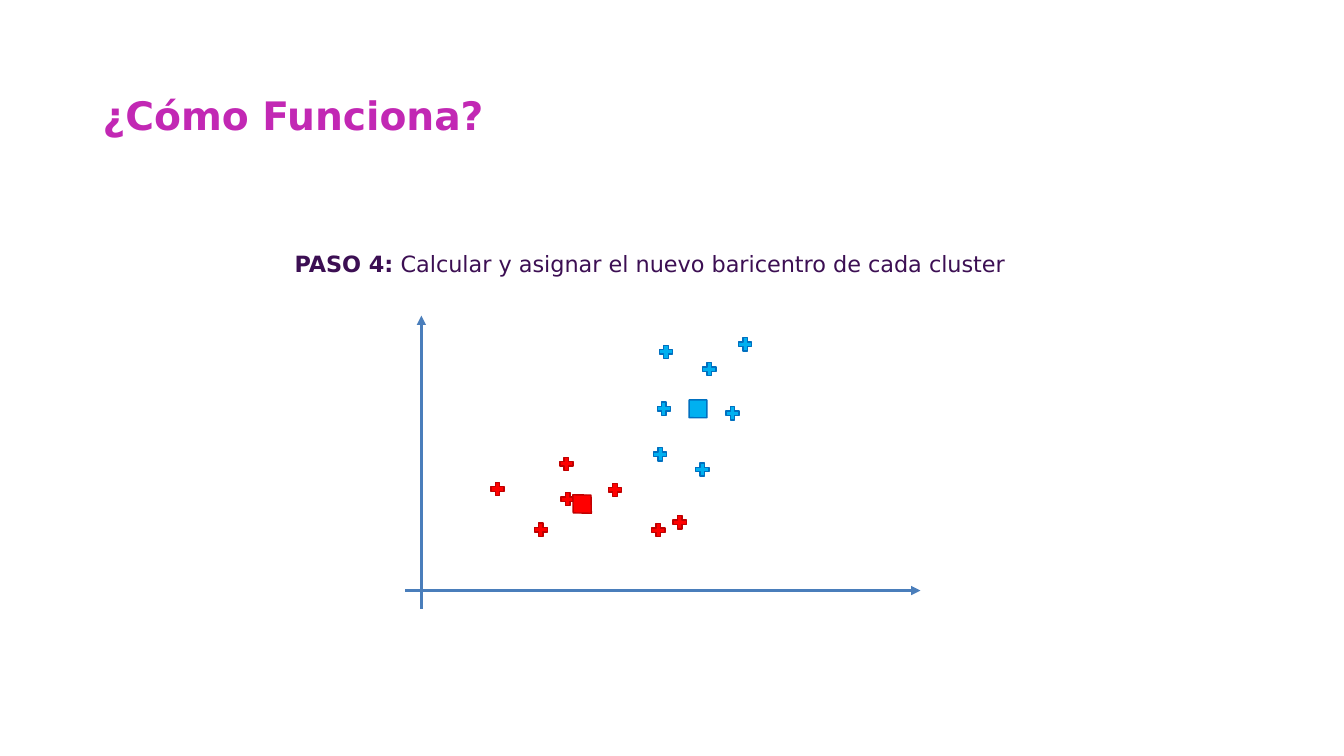
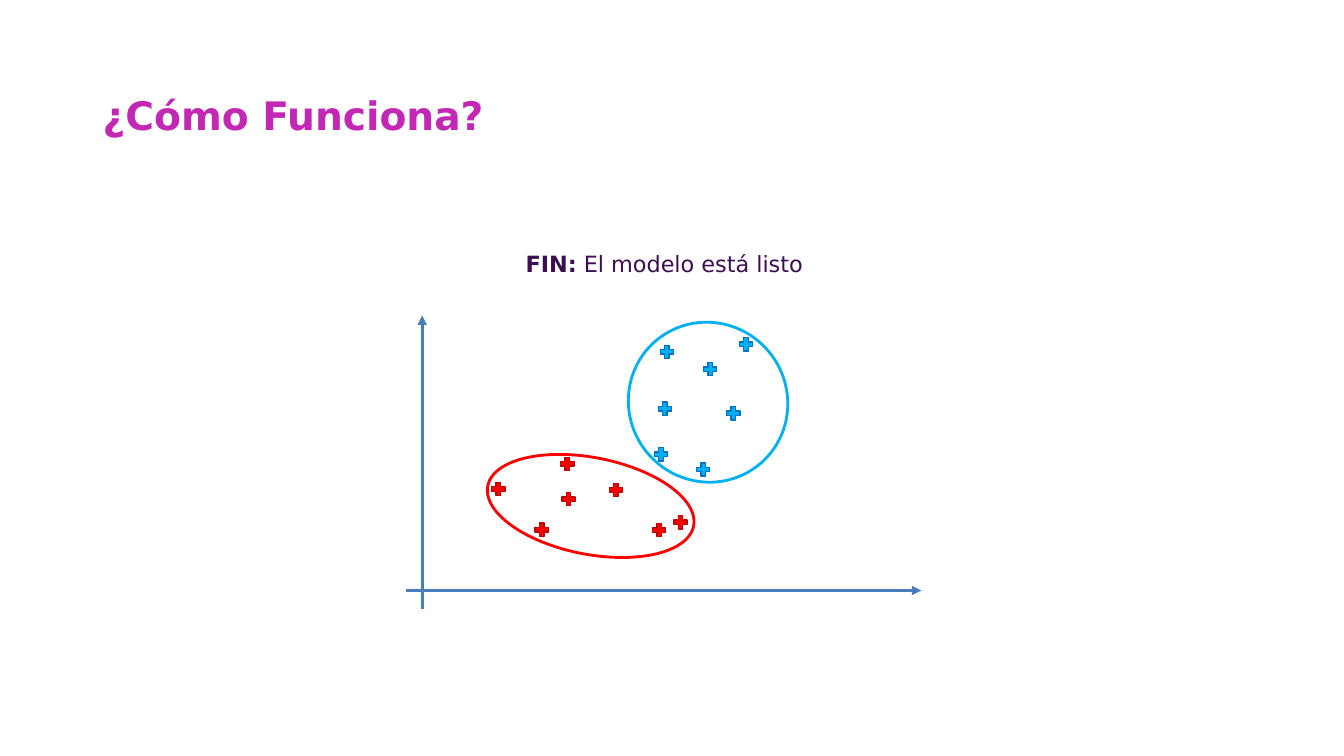
from lxml.etree import SubElement
from pptx import Presentation
from pptx.dml.color import RGBColor
from pptx.enum.shapes import MSO_CONNECTOR as Link, MSO_SHAPE as Kind
from pptx.enum.text import MSO_ANCHOR as Anchor, MSO_AUTO_SIZE as Fit, PP_ALIGN as Align
from pptx.oxml.ns import qn
from pptx.util import Pt

FONT = "DejaVu Sans"
TITLE = "¿Cómo Funciona?"
TITLE_BOX = (66.2, 51.1, 828, 65.5)
TITLE_FONT = {"name": FONT, "size": Pt(28), "bold": True}
STEP_FONT = {"name": FONT, "size": Pt(16)}
PINK, PLUM, AXIS = "C228B4", "3C0F53", "4A7EBB"
RED, BLUE = ("FF0000", "C00000"), ("00B0F0", "0070C0")  # fill, line
CROSS = 9.4

AXES = [((301, 435), (301, 225.4)), ((289.4, 421.8), (657.5, 421.8))]
POINTS = [
    (BLUE, [(523.2, 295.2), (471.6, 324.5), (501.7, 335.4), (474.3, 292),
            (532.3, 245.9), (475.8, 251.3), (506.7, 263.7)]),
    (RED, [(386.4, 378.4), (485.5, 373.1), (405.5, 356.6), (470.2, 378.7),
           (355.4, 349.3), (404.6, 331.4), (439.3, 350)]),
]
# Marks: kind, centre, size, turn, fill, line, line width
SLIDES = [
    {"step": ("PASO 4:", " Calcular y asignar el nuevo baricentro de cada cluster"),
     "box": (104.4, 175, 720, 26.6), "shift": 0,
     "marks": [(Kind.DIAMOND, (415.8, 360), (18, 18.7), 315, *RED, 1),
               (Kind.DIAMOND, (498.6, 292), (18, 18), 315, *BLUE, 1)]},
    {"step": ("FIN:", " El modelo está listo"),
     "box": (261.4, 175, 426.2, 26.6), "shift": 0.6,
     "marks": [(Kind.OVAL, (505.8, 287.3), (113, 115.2), 320, None, BLUE[0], 2),
               (Kind.OVAL, (421.9, 361.4), (69.1, 149.8), 101, None, RED[0], 2)]},
]


def color(code):
    return RGBColor.from_string(code)


def style(font, code, form):
    for name, value in form.items():
        setattr(font, name, value)
    font.color.rgb = color(code)


def set_line(line, code, width):
    line.color.rgb = color(code)
    line.width = Pt(width)


def add_title(slide):
    title = slide.shapes.title
    for name, value in zip(("left", "top", "width", "height"), TITLE_BOX):
        setattr(title, name, Pt(value))
    frame = title.text_frame
    frame.text = TITLE
    frame.auto_size = Fit.NONE
    frame.vertical_anchor = Anchor.MIDDLE
    para = frame.paragraphs[0]
    para.alignment = Align.LEFT
    para.line_spacing = 0.9
    style(para.runs[0].font, PINK, TITLE_FONT)


def add_step(slide, box, texts):
    frame = slide.shapes.add_textbox(*map(Pt, box)).text_frame
    frame.word_wrap = True
    para = frame.paragraphs[0]
    para.alignment = Align.CENTER
    for text, bold in zip(texts, (True, False)):
        run = para.add_run()
        run.text = text
        style(run.font, PLUM, {**STEP_FONT, "bold": bold})


def add_axis(slide, start, end, shift):
    (ax, ay), (bx, by) = start, end
    axis = slide.shapes.add_connector(
        Link.STRAIGHT, Pt(ax + shift), Pt(ay), Pt(bx + shift), Pt(by))
    set_line(axis.line, AXIS, 2.25)
    SubElement(axis.line._get_or_add_ln(), qn("a:tailEnd"), type="triangle")
    SubElement(axis._element.spPr, qn("a:effectLst"))


def add_mark(slide, kind, center, size, turn, fill, line, width):
    """Place a shape by its centre; no fill when fill is None."""
    (x, y), (w, h) = center, size
    mark = slide.shapes.add_shape(kind, Pt(x - w / 2), Pt(y - h / 2), Pt(w), Pt(h))
    mark.rotation = turn
    mark.shadow.inherit = False
    if fill:
        mark.fill.solid()
        mark.fill.fore_color.rgb = color(fill)
    else:
        mark.fill.background()
    set_line(mark.line, line, width)
    return mark


def add_points(slide, shift):
    for pair, spots in POINTS:
        for x, y in spots:
            cross = add_mark(slide, Kind.CROSS, (x + shift, y), (CROSS, CROSS), 0, *pair, 1)
            cross.adjustments[0] = 0.33


def main():
    deck = Presentation()
    deck.slide_width, deck.slide_height = Pt(960), Pt(540)
    layout = deck.slide_layouts.get_by_name("Title Only")
    for page in SLIDES:
        slide = deck.slides.add_slide(layout)
        add_title(slide)
        for start, end in AXES:
            add_axis(slide, start, end, page["shift"])
        add_points(slide, page["shift"])
        for mark in page["marks"]:
            add_mark(slide, *mark)
        add_step(slide, page["box"], page["step"])
    deck.save("out.pptx")


if __name__ == "__main__":
    main()
